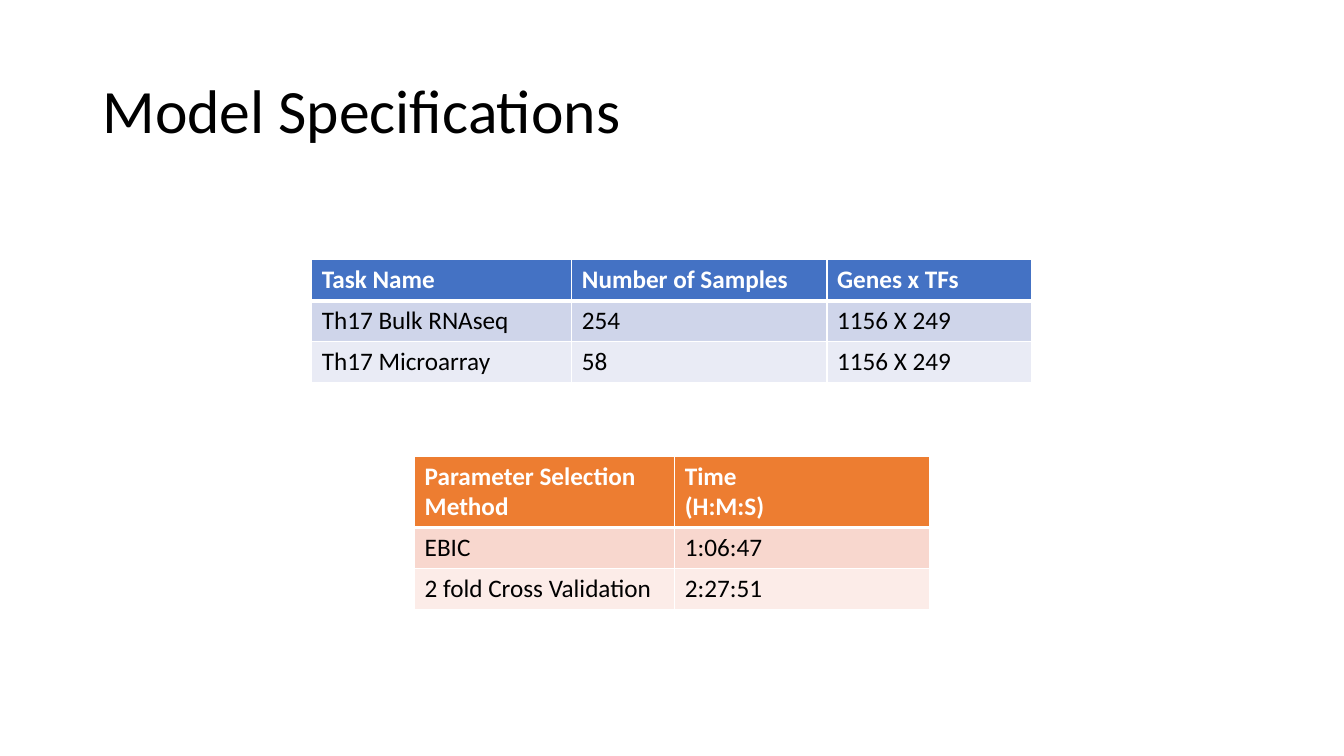
import dataclasses
import typing

import lxml.etree
import pptx
import pptx.dml.color
import pptx.enum.text
import pptx.oxml.ns
import pptx.util

Pt = pptx.util.Pt


@dataclasses.dataclass(frozen=True)
class Theme:
    font: str = "Calibri"
    title_size: float = 44
    cell_size: float = 18
    dark: str = "000000"
    light: str = "FFFFFF"
    blues: tuple[str, ...] = ("4472C4", "CFD5EA", "E9EBF5")
    oranges: tuple[str, ...] = ("ED7D31", "F8D7CE", "FCECE8")
    thin: float = 1
    thick: float = 3


@dataclasses.dataclass(frozen=True)
class TableSpec:
    left: float
    top: float
    widths: tuple[float, ...]
    header_height: float
    fills: tuple[str, ...]
    rows: tuple[tuple[str, ...], ...]


THEME = Theme()
ROW_HEIGHT = 29.25
METHOD_WIDTH, VALUE_WIDTH, SIZE_WIDTH = 185.8, 182.3, 146.2

TABLES = (
    TableSpec(
        222.7, 185.6, (METHOD_WIDTH, VALUE_WIDTH, SIZE_WIDTH), ROW_HEIGHT, THEME.blues,
        (
            ("Task Name", "Number of Samples", "Genes x TFs"),
            ("Th17 Bulk RNAseq", "254", "1156 X 249"),
            ("Th17 Microarray", "58", "1156 X 249"),
        ),
    ),
    TableSpec(
        296.2, 325.7, (METHOD_WIDTH, VALUE_WIDTH), 50.4, THEME.oranges,
        (
            ("Parameter Selection Method", "Time\n(H:M:S)"),
            ("EBIC", "1:06:47"),
            ("2 fold Cross Validation", "2:27:51"),
        ),
    ),
)


def rgb(value: str) -> pptx.dml.color.RGBColor:
    return pptx.dml.color.RGBColor.from_string(value)


def write_text(tf: typing.Any, text: str, *, size: float, color: str,
               bold: bool = False, spacing: float = 1.0) -> None:
    tf.text = text
    for p in tf.paragraphs:
        p.alignment = pptx.enum.text.PP_ALIGN.LEFT
        p.line_spacing = spacing
        for r in p.runs:
            r.font.name = THEME.font
            r.font.size = Pt(size)
            r.font.bold = bold
            r.font.color.rgb = rgb(color)


def set_borders(cell: typing.Any, top: float, bottom: float) -> None:
    qn = pptx.oxml.ns.qn
    tc_pr = cell._tc.get_or_add_tcPr()
    widths = {"a:lnL": THEME.thin, "a:lnR": THEME.thin, "a:lnT": top, "a:lnB": bottom}
    for tag, width in widths.items():
        ln = lxml.etree.SubElement(tc_pr, qn(tag), w=str(Pt(width)))
        fill = lxml.etree.SubElement(ln, qn("a:solidFill"))
        lxml.etree.SubElement(fill, qn("a:srgbClr"), val=THEME.light)


def draw_table(s: typing.Any, spec: TableSpec) -> None:
    heights = [spec.header_height] + [ROW_HEIGHT] * (len(spec.rows) - 1)
    table = s.shapes.add_table(
        len(spec.rows), len(spec.widths), Pt(spec.left), Pt(spec.top),
        Pt(sum(spec.widths)), Pt(sum(heights)),
    ).table
    for column, width in zip(table.columns, spec.widths):
        column.width = Pt(width)
    for i, (texts, fill, height) in enumerate(zip(spec.rows, spec.fills, heights)):
        table.rows[i].height = Pt(height)
        header = i == 0
        for j, text in enumerate(texts):
            cell = table.cell(i, j)
            set_borders(cell, THEME.thick if i == 1 else THEME.thin,
                        THEME.thick if header else THEME.thin)
            cell.fill.solid()
            cell.fill.fore_color.rgb = rgb(fill)
            write_text(cell.text_frame, text, size=THEME.cell_size, bold=header,
                       color=THEME.light if header else THEME.dark)


def draw_title(s: typing.Any, text: str) -> None:
    sp = s.shapes.title
    sp.left, sp.top, sp.width, sp.height = Pt(66), Pt(28.75), Pt(828), Pt(104.4)
    tf = sp.text_frame
    tf.auto_size = pptx.enum.text.MSO_AUTO_SIZE.NONE
    tf.vertical_anchor = pptx.enum.text.MSO_ANCHOR.MIDDLE
    write_text(tf, text, size=THEME.title_size, color=THEME.dark, spacing=0.9)


def main() -> None:
    prs = pptx.Presentation()
    prs.slide_width, prs.slide_height = Pt(960), Pt(540)
    s = prs.slides.add_slide(prs.slide_layouts.get_by_name("Title Only"))
    draw_title(s, "Model Specifications")
    for spec in TABLES:
        draw_table(s, spec)
    prs.save("out.pptx")


if __name__ == "__main__":
    main()
